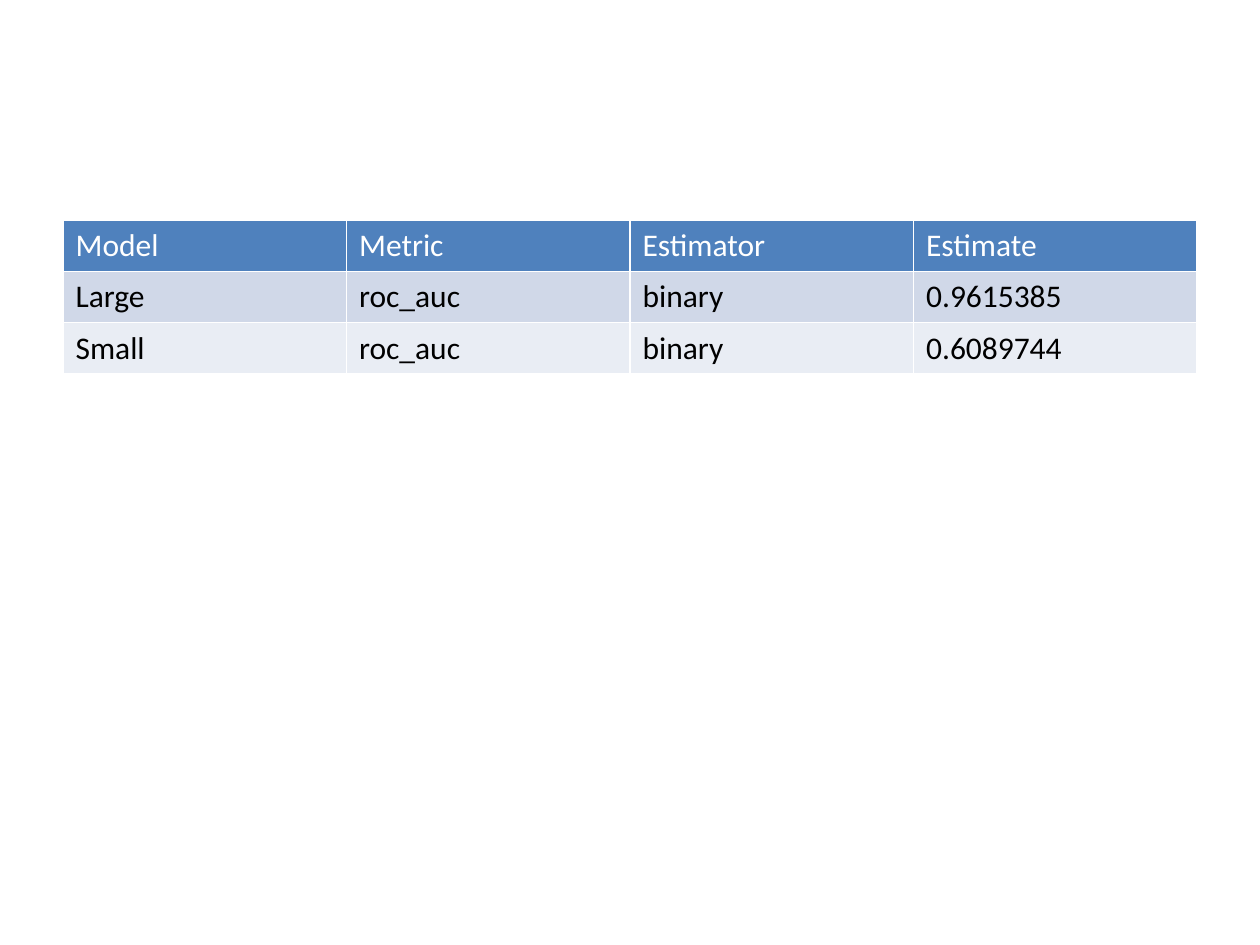
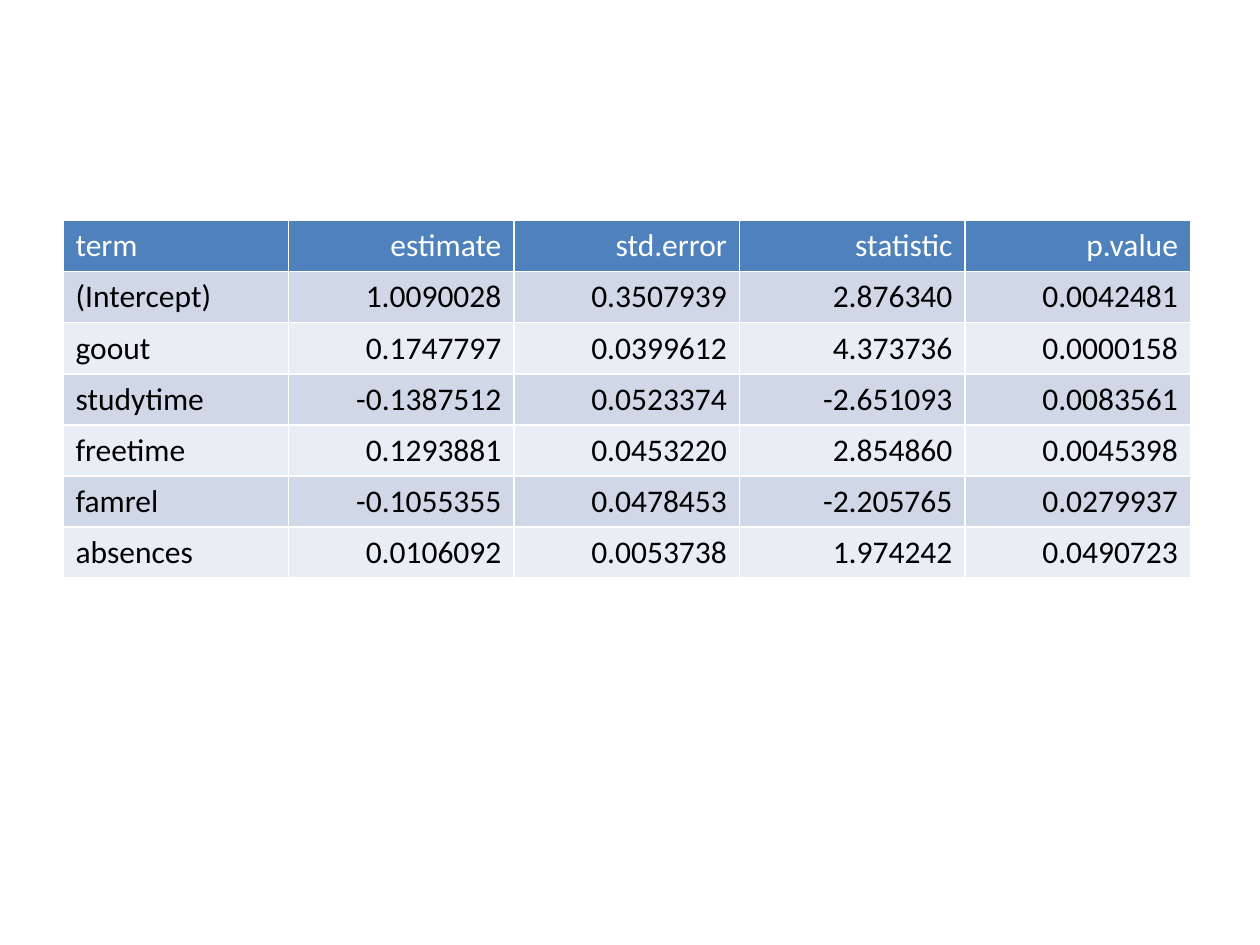
from pptx import Presentation
from pptx import util as u
from pptx.dml.color import RGBColor
from pptx.enum import text

PX = u.Inches(1) // 100  # 100 px to the inch

HEADER_FILL = RGBColor(0x4F, 0x81, 0xBD)
BAND_FILLS = RGBColor(0xD0, 0xD8, 0xE8), RGBColor(0xE9, 0xED, 0xF4)
WHITE = RGBColor(0xFF, 0xFF, 0xFF)
BLACK = RGBColor(0x00, 0x00, 0x00)

FONT = "Calibri"
BLANK_LAYOUT = 6
LEFT, TOP, ROW_HEIGHT = 50, 175, 40

MODEL_SCORES = [
    ("Model", "Metric", "Estimator", "Estimate"),
    ("Large", "roc_auc", "binary", "0.9615385"),
    ("Small", "roc_auc", "binary", "0.6089744"),
]
COEFFICIENTS = [
    ("term", "estimate", "std.error", "statistic", "p.value"),
    ("(Intercept)", "1.0090028", "0.3507939", "2.876340", "0.0042481"),
    ("goout", "0.1747797", "0.0399612", "4.373736", "0.0000158"),
    ("studytime", "-0.1387512", "0.0523374", "-2.651093", "0.0083561"),
    ("freetime", "0.1293881", "0.0453220", "2.854860", "0.0045398"),
    ("famrel", "-0.1055355", "0.0478453", "-2.205765", "0.0279937"),
    ("absences", "0.0106092", "0.0053738", "1.974242", "0.0490723"),
]


def write(frame, content, *, size=18, color=BLACK, align=text.PP_ALIGN.LEFT):
    paragraph = frame.paragraphs[0]
    paragraph.alignment = align
    run = paragraph.add_run()
    run.text = content
    run.font.name = FONT
    run.font.size = u.Pt(size)
    run.font.bold = False
    run.font.color.rgb = color


class Deck:
    """Holds the presentation and the slide being built."""

    def __init__(self):
        self.prs = Presentation()
        self.prs.slide_width = 1000 * PX
        self.prs.slide_height = 750 * PX
        self.slide = None

    def new_slide(self):
        self.slide = self.prs.slides.add_slide(self.prs.slide_layouts[BLANK_LAYOUT])

    def table(self, records, column_width, number_align):
        """Add a banded table; its white rules come from the table style."""
        columns = len(records[0])
        grid = self.slide.shapes.add_table(
            len(records), columns, LEFT * PX, TOP * PX,
            columns * column_width * PX, len(records) * ROW_HEIGHT * PX).table
        for r, record in enumerate(records):
            fill = BAND_FILLS[(r - 1) % 2] if r else HEADER_FILL
            for c, value in enumerate(record):
                cell = grid.cell(r, c)
                cell.fill.solid()
                cell.fill.fore_color.rgb = fill
                write(cell.text_frame, value, color=BLACK if r else WHITE,
                      align=number_align if c else text.PP_ALIGN.LEFT)


def main():
    deck = Deck()

    # Model comparison
    deck.new_slide()
    deck.table(MODEL_SCORES, 225, text.PP_ALIGN.LEFT)

    # Regression coefficients
    deck.new_slide()
    deck.table(COEFFICIENTS, 179, text.PP_ALIGN.RIGHT)

    deck.prs.save("out.pptx")


if __name__ == "__main__":
    main()
